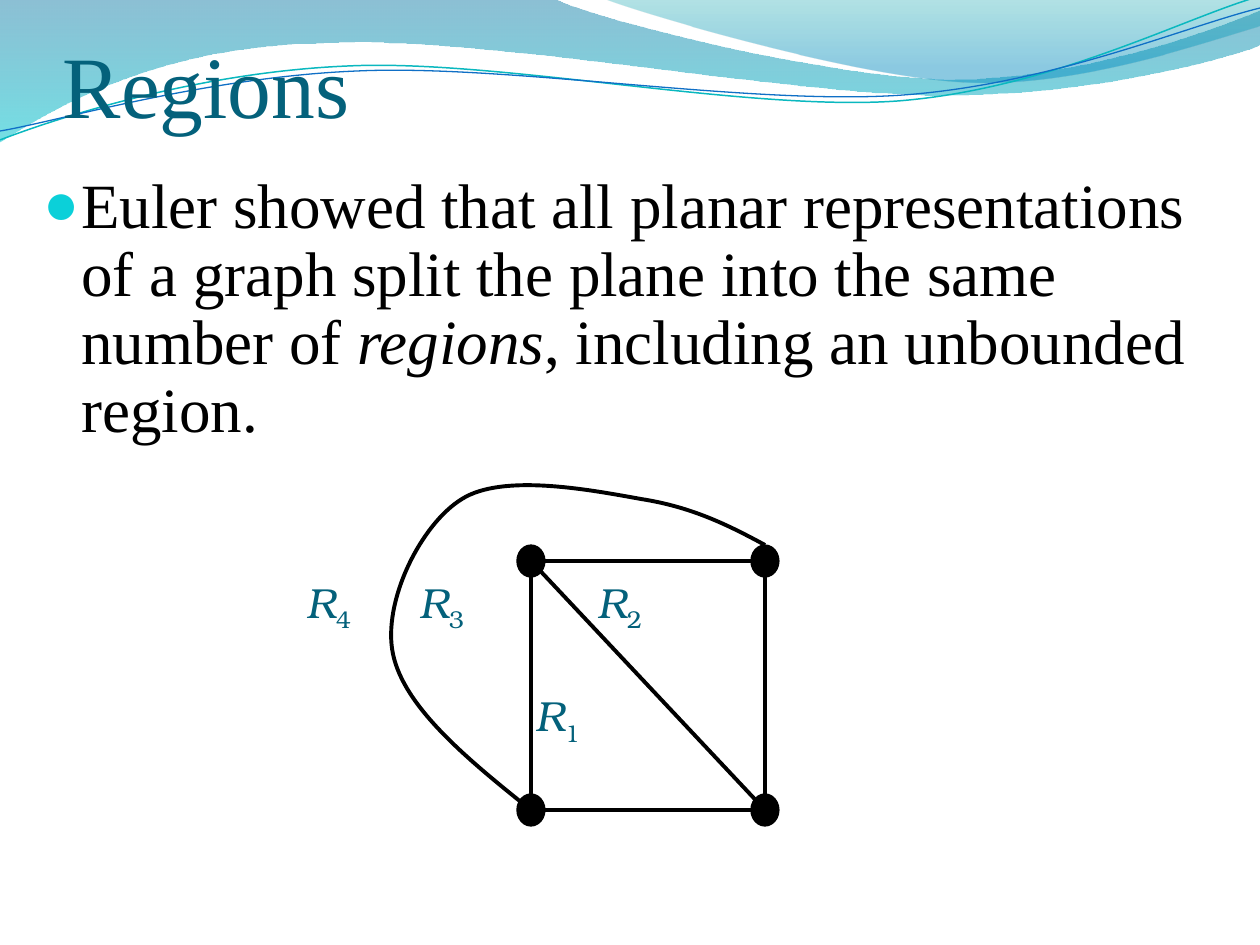
import math
import pptx
import pptx.util
import pptx.dml.color
import pptx.enum.shapes
import pptx.enum.text
import pptx.oxml
import pptx.oxml.ns

PX = 914400 / 126
BLACK = pptx.dml.color.RGBColor(0x00, 0x00, 0x00)
TITLE = pptx.dml.color.RGBColor(0x04, 0x61, 0x7B)
TEAL = pptx.dml.color.RGBColor(0x0A, 0xB8, 0xBF)
BLUE = pptx.dml.color.RGBColor(0x0F, 0x6F, 0xC6)
NS = pptx.oxml.ns.nsdecls("a")
TILT = math.radians(2.7)

prs = pptx.Presentation()
prs.slide_width = pptx.util.Inches(10)
prs.slide_height = pptx.util.Inches(7.5)
s = prs.slides.add_slide(prs.slide_layouts[6])


def add_path(segments, close):
    ends = [(seg[-2] * PX, seg[-1] * PX) for seg in segments]
    fb = s.shapes.build_freeform(*ends[0])
    fb.add_line_segments(ends[1:], close=close)
    sp = fb.convert_to_shape()
    sp.shadow.inherit = False
    sp.fill.background()
    lines = list(sp._element.iter(pptx.oxml.ns.qn("a:lnTo")))
    for line, seg in zip(lines, segments[1:]):
        if len(seg) == 6:
            pts = "".join(
                f'<a:pt x="{round(x * PX - sp.left)}" y="{round(y * PX - sp.top)}"/>'
                for x, y in zip(seg[::2], seg[1::2]))
            line.getparent().replace(line, pptx.oxml.parse_xml(
                f'<a:cubicBezTo {NS}>{pts}</a:cubicBezTo>'))
    return sp


def add_text(x, y, w, h, rows, size, color, font):
    sp = s.shapes.add_textbox(*[int(v * PX) for v in (x, y, w, h)])
    tf = sp.text_frame
    tf.word_wrap = True
    for i, row in enumerate(rows):
        p = tf.add_paragraph() if i else tf.paragraphs[0]
        for part in row:
            r = p.add_run()
            r.text = part
            r.font.size = pptx.util.Pt(size)
            r.font.name = font
            r.font.color.rgb = color
    return tf


waves = [
    ([(-1, -1), (554, -1), (600, 21, 837, 79, 955, 79),
      (1074, 79, 1207, 33, 1260, 11), (1261, 45),
      (1239, 55, 1096, 96, 940, 95), (784, 95, 481, 35, 324, 43),
      (163, 45, 58, 105, -1, 142)],
     [(0, "0074A1", 45), (100, "00C6CF", 55)]),
    ([(604, -1), (641, 14, 859, 78, 969, 82),
      (1079, 87, 1211, 40, 1260, 26), (1260, -1)],
     [(0, "00A1A9", 30), (80, "008BBF", 45)]),
]
for segments, stops in waves:
    sp = add_path(segments, True)
    sp.line.fill.background()
    gs = "".join(
        f'<a:gs pos="{pos * 1000}"><a:srgbClr val="{color}">'
        f'<a:alpha val="{alpha * 1000}"/></a:srgbClr></a:gs>'
        for pos, color, alpha in stops)
    grad = pptx.oxml.parse_xml(
        f'<a:gradFill {NS}><a:gsLst>{gs}</a:gsLst>'
        '<a:lin ang="5400000" scaled="0"/></a:gradFill>')
    spPr = sp._element.spPr
    spPr.replace(spPr.find(pptx.oxml.ns.qn("a:noFill")), grad)

ripples = [
    ([(0, 140), (60, 117, 199, 72, 349, 66), (498, 59, 747, 112, 898, 101),
      (1050, 89, 1182, 19, 1257, -3)], 72, TEAL, 0.85),
    ([(0, 131), (59, 121, 207, 77, 357, 71), (508, 64, 752, 106, 903, 95),
      (1053, 84, 1186, 26, 1260, 8)], 74, BLUE, 0.75),
]
cx = 629
for segments, cy, color, width in ripples:
    level = []
    for seg in segments:
        turned = []
        for x, y in zip(seg[::2], seg[1::2]):
            dx, dy = x - cx, y - cy
            turned += [cx + dx * math.cos(TILT) - dy * math.sin(TILT),
                       cy + dx * math.sin(TILT) + dy * math.cos(TILT)]
        level.append(turned)
    sp = add_path(level, False)
    sp.rotation = 357.3
    sp.line.color.rgb = color
    sp.line.width = pptx.util.Pt(width)

tf = add_text(63, 20, 1134, 116, [["Regions"]], 50, TITLE, "Times New Roman")
tf.margin_left = tf.margin_right = tf.margin_bottom = 0
tf.vertical_anchor = pptx.enum.text.MSO_ANCHOR.BOTTOM

tf = add_text(31, 168, 1187, 357, [[
    "Euler showed that all planar representations of a graph split the plane "
    "into the same number of ", "regions", ", including an unbounded region."]],
    36, BLACK, "Times New Roman")
p = tf.paragraphs[0]
p.runs[1].font.italic = True
pPr = p._p.get_or_add_pPr()
pPr.set("marL", str(int(38 * PX)))
pPr.set("indent", str(int(-38 * PX)))
for xml in (f'<a:buClr {NS}><a:srgbClr val="0BD0D9"/></a:buClr>',
            f'<a:buSzPct {NS} val="95000"/>',
            f'<a:buFont {NS} typeface="Times New Roman"/>',
            f'<a:buChar {NS} char="●"/>'):
    pPr.append(pptx.oxml.parse_xml(xml))
p.line_spacing = 0.9

left, right, top, bottom = 531, 765, 561, 810
square = s.shapes.add_shape(
    pptx.enum.shapes.MSO_SHAPE.RECTANGLE,
    *[int(v * PX) for v in (left, top, right - left, bottom - top)])
square.shadow.inherit = False
square.fill.background()
diagonal = s.shapes.add_connector(
    pptx.enum.shapes.MSO_CONNECTOR.STRAIGHT,
    *[int(v * PX) for v in (left, top, right, bottom)])
diagonal._element.spPr.append(pptx.oxml.parse_xml(f'<a:effectLst {NS}/>'))

for x, y in ((left, top), (left, bottom), (right, bottom), (right, top)):
    sp = s.shapes.add_shape(
        pptx.enum.shapes.MSO_SHAPE.OVAL,
        *[int(v * PX) for v in (x - 14, y - 16, 28, 32)])
    sp.shadow.inherit = False
    sp.fill.solid()
    sp.fill.fore_color.rgb = BLACK
    sp.line.color.rgb = BLACK
    sp.line.width = pptx.util.Pt(0.75)

outer = add_path([
    (765, 545), (728, 525, 692, 507, 641, 499), (591, 490, 503, 473, 462, 499),
    (421, 524, 382, 602, 393, 654), (404, 707, 467, 759, 531, 810)], False)
for edge in (square, diagonal, outer):
    edge.line.color.rgb = BLACK
    edge.line.width = pptx.util.Pt(2.25)

tf = add_text(294, 570, 365, 164,
              [["R", "4", "\tR", "3", "\tR", "2"], ["\tR", "1"]],
              24, TITLE, "TeX Gyre Bonum")
for p, stops in zip(tf.paragraphs, ((113, 291), (229,))):
    tabs = "".join(f'<a:tab pos="{int(x * PX)}" algn="l"/>' for x in stops)
    p._p.get_or_add_pPr().append(
        pptx.oxml.parse_xml(f'<a:tabLst {NS}>{tabs}</a:tabLst>'))
    for r, sub in zip(p.runs[::2], p.runs[1::2]):
        r.font.italic = True
        sub.font._element.set("baseline", "-25000")
tf.paragraphs[1].space_before = pptx.util.Pt(32)

prs.save("out.pptx")
